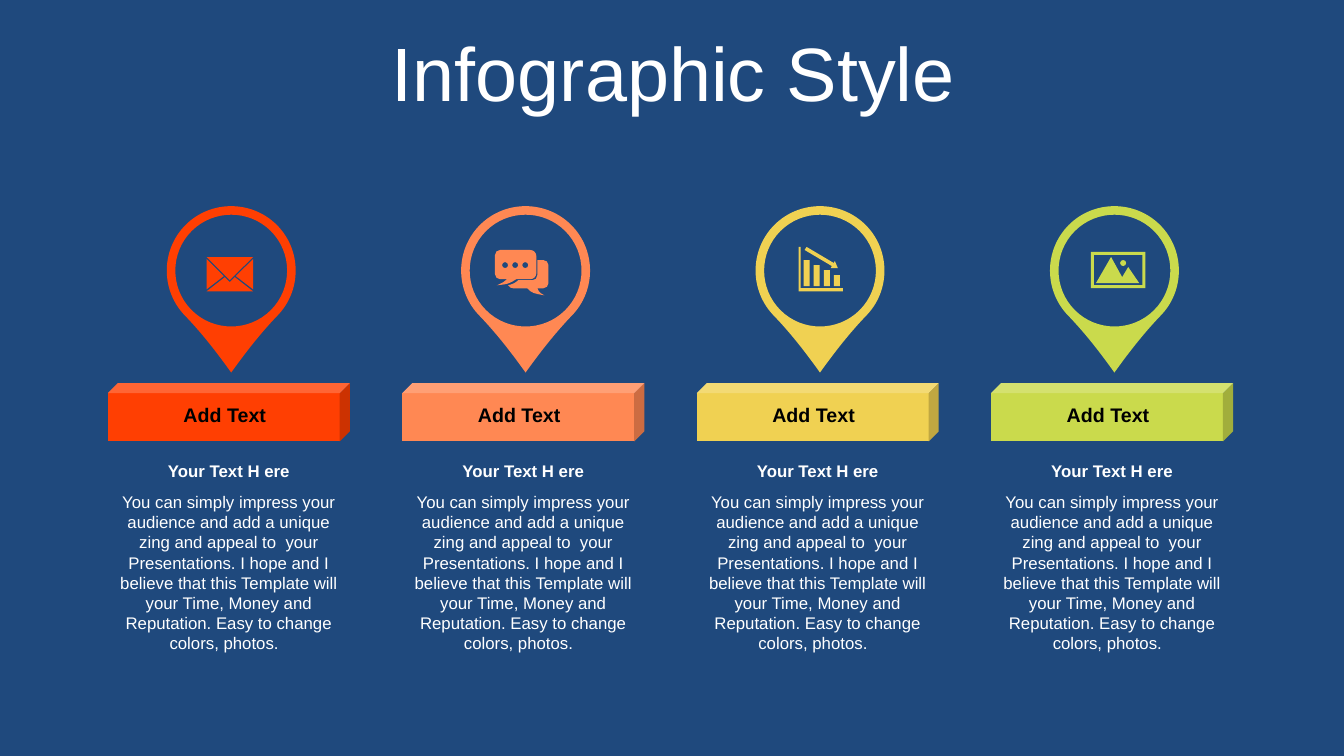
from math import cos, radians, sin

from lxml.etree import SubElement
from pptx import Presentation
from pptx.dml.color import RGBColor
from pptx.enum.shapes import MSO_SHAPE as SHAPE
from pptx.enum.text import MSO_ANCHOR as ANCHOR, MSO_AUTO_SIZE as FIT, PP_ALIGN as ALIGN
from pptx.oxml.ns import qn
from pptx.util import Inches, Pt

BACK, WHITE, BLACK = "1F497D", "FFFFFF", "000000"
COLORS = ["FF3F02", "FF8853", "F0D152", "CADA4C"]
STEP = 2.92
BODY = ("You can simply impress your audience and add a unique zing and appeal to  your "
        "Presentations. I hope and I believe that this Template will your Time, Money and "
        "Reputation. Easy to change colors, photos.  ")


def arc(x, y, r, start=0, count=4):
    """Start point, then one clockwise Bezier curve (a list of three points) per quarter."""
    path = []
    for i in range(count):
        turn = radians(start + 90 * i)
        c, s = r * cos(turn), r * sin(turn)
        if not path:
            path.append((x + c, y + s))
        path.append([(x + c - 0.55 * s, y + s + 0.55 * c),
                     (x - s + 0.55 * c, y + c + 0.55 * s), (x - s, y + c)])
    return path


def draw(shapes, paths, shift, angle):
    """Freeform of points and of curves, which are lists of three points."""
    pen, curved = None, []
    for first, *rest in paths:
        start = Inches(first[0] + shift), Inches(first[1])
        if pen is None:
            pen = shapes.build_freeform(*start)
        else:
            pen.move_to(*start)
        spots = []
        for part in rest:
            curved.append(isinstance(part, list))
            spots += part if curved[-1] else [part]
        pen.add_line_segments([(Inches(x + shift), Inches(y)) for x, y in spots], close=True)
    shape = pen.convert_to_shape()
    shape.rotation = angle
    lines = iter(list(shape._element.iter(qn("a:lnTo"))))
    for bend in curved:
        line = next(lines)
        if bend:
            line.addprevious(curve := SubElement(line.getparent(), qn("a:cubicBezTo")))
            for old in (line, next(lines), next(lines)):
                curve.append(old[0])
                old.getparent().remove(old)
    return shape


def box(x, y, right, base):
    return [(x, y), (right, y), (right, base), (x, base)]


# Outlines, in inches on the slide; the pin points up and right until it is turned
pin = [
    arc(2.255, 2.775, 0.555),
    [(2.97, 2.06), [(2.93, 2.3), (2.9, 2.54), (2.895, 2.775)],
     *arc(2.255, 2.775, 0.64, 0, 3)[1:], [(2.49, 2.13), (2.73, 2.1), (2.97, 2.06)]],
]
envelope = [
    [(2.33, 2.75), (2.51, 2.89), (2.05, 2.89), (2.23, 2.75), (2.28, 2.8)],
    [(2.51, 2.57), (2.51, 2.87), (2.34, 2.74)],
    [(2.05, 2.57), (2.22, 2.74), (2.05, 2.87)],
    [(2.05, 2.55), (2.51, 2.55), (2.28, 2.78)],
]
chat = [arc(x, 2.63, 0.03) for x in (5.21, 5.11, 5.01)]
chat.append([
    (5.33, 2.58), *arc(5.39, 2.63, 0.05, -90, 1), *arc(5.39, 2.81, 0.05, 0, 1),
    (5.33, 2.86), [(5.34, 2.88), (5.34, 2.9), (5.4, 2.93)],
    [(5.29, 2.91), (5.28, 2.91), (5.23, 2.86)], (5.09, 2.86),
    [(5.07, 2.86), (5.05, 2.85), (5.04, 2.83)], [(5.08, 2.82), (5.11, 2.81), (5.14, 2.78)],
    (5.28, 2.78), [(5.31, 2.78), (5.33, 2.76), (5.33, 2.73)],
])
chat.append([
    *arc(4.96, 2.53, 0.05, 180, 1), *arc(5.26, 2.54, 0.06, -90, 1),
    *arc(5.26, 2.71, 0.06, 0, 1), (5.12, 2.77), [(5.06, 2.81), (5.04, 2.82), (4.93, 2.83)],
    [(4.99, 2.8), (5, 2.8), (5.03, 2.77)], *arc(4.96, 2.72, 0.05, 90, 1),
])
bars = [box(7.97 + 0.1 * i, 2.58 + 0.05 * i, 8.03 + 0.1 * i, 2.84) for i in range(4)]
bars += [
    [(8, 2.45), (8.27, 2.61), (8.28, 2.59), (8.31, 2.66), (8.24, 2.66), (8.25, 2.64),
     (7.98, 2.48)],
    [(7.92, 2.45), (7.94, 2.45), (7.94, 2.86), (8.36, 2.86), (8.36, 2.89), (7.92, 2.89)],
]
# A quarter turn back about (8.14, 2.67), as the shape itself is turned by 90 degrees
bars = [[(5.47 + y, 10.81 - x) for x, y in path] for path in bars]
photo = [
    arc(11.14, 2.61, 0.03),
    [(11.02, 2.55), (11.13, 2.75), (11.19, 2.65), (11.3, 2.81), (10.87, 2.81)],
    box(10.85, 2.53, 11.33, 2.83),
    box(10.82, 2.5, 11.36, 2.86),
]
icons = [(envelope, 0), (chat, 0), (bars, 90), (photo, 0)]

deck = Presentation()
deck.slide_width, deck.slide_height = Inches(13.33), Inches(7.5)
slide = deck.slides.add_slide(deck.slide_layouts[5])
slide.background.fill.solid()
slide.background.fill.fore_color.rgb = RGBColor.from_string(BACK)
shapes = slide.shapes

title = shapes.title
title.left, title.top = Inches(0.35), Inches(0.37)
title.width, title.height = Inches(12.66), Inches(0.79)
title.text_frame.vertical_anchor = ANCHOR.MIDDLE
title.text_frame.auto_size = FIT.NONE
title.text_frame.paragraphs[0].line_spacing = 0.9
texts = [(title, "Infographic Style", 54, WHITE, False)]

for i, (color, (icon, angle)) in enumerate(zip(COLORS, icons)):
    left = STEP * i
    cube = shapes.add_shape(SHAPE.CUBE, Inches(1.07 + left), Inches(3.8),
                            Inches(2.4), Inches(0.58))
    cube.adjustments[0] = 0.173

    for shape in (cube, draw(shapes, pin, left, 135), draw(shapes, icon, 0, angle)):
        shape.shadow.inherit = False
        shape.fill.solid()
        shape.fill.fore_color.rgb = RGBColor.from_string(color)
        shape.line.fill.background()

    for x, y, width, height, words, size, ink, bold in [
        (1.05, 4.83, 2.44, 1.72, BODY, 12, WHITE, False),
        (1.05, 4.52, 2.44, 0.3, "Your Text H ere", 12, WHITE, True),
        (1.36, 3.95, 1.74, 0.34, "Add Text", 14, BLACK, True),
    ]:
        label = shapes.add_textbox(Inches(x + left), Inches(y), Inches(width), Inches(height))
        label.text_frame.word_wrap = True
        label.text_frame.auto_size = FIT.SHAPE_TO_FIT_TEXT
        texts.append((label, words, size, ink, bold))

for shape, words, size, ink, bold in texts:
    para = shape.text_frame.paragraphs[0]
    para.alignment = ALIGN.CENTER
    run = para.add_run()
    run.text = words
    run.font.name, run.font.size, run.font.bold = "Arial", Pt(size), bold
    run.font.color.rgb = RGBColor.from_string(ink)

deck.save("out.pptx")
